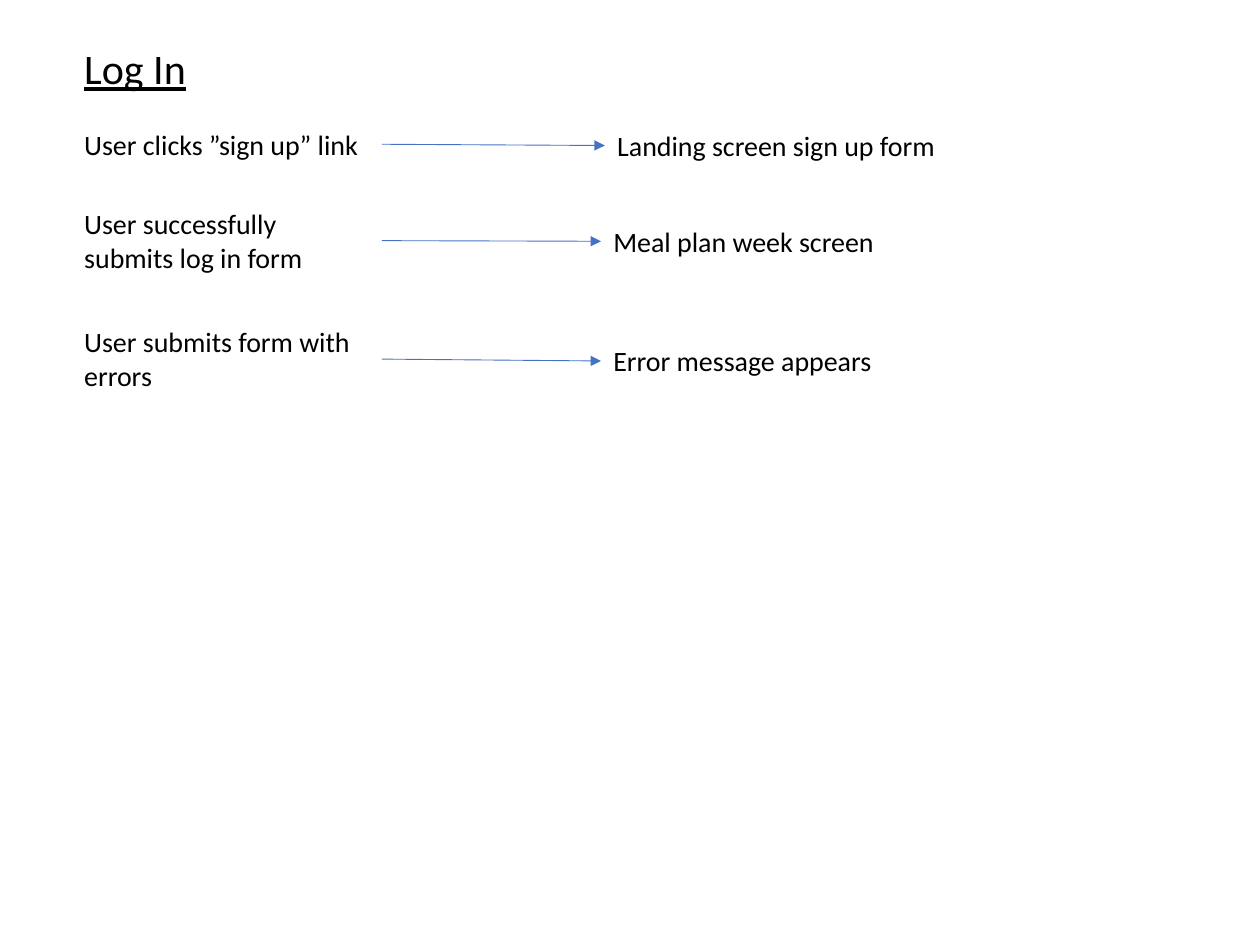
"""Build the log in flow slide: user actions joined to their results."""
from dataclasses import dataclass

from pptx import Presentation
from pptx import util as u
from pptx.dml.color import RGBColor
from pptx.enum import shapes, text
from pptx.oxml.ns import qn
from lxml import etree

COLORS = {"ink": "000000", "arrow": "4472C4"}
FONT = "Calibri"
LEFT, WIDTH = 0.57, 2.46
LINE, TWO_LINES = 0.37, 0.64


@dataclass
class Label:
    words: str
    x: float
    y: float
    w: float = WIDTH
    h: float = LINE
    size: int = 16


@dataclass
class Step:
    action: Label
    result: Label


TITLE = Label("Log In", LEFT, 0.29, 1.02, 0.5, 24)
STEPS = [
    Step(Label("User clicks ”sign up” link", LEFT, 0.96),
         Label("Landing screen sign up form", 4.8, 0.97, 3.19)),
    Step(Label("User successfully submits log in form", LEFT, 1.59, h=TWO_LINES),
         Label("Meal plan week screen", 4.77, 1.73)),
    Step(Label("User submits form with errors", LEFT, 2.53, h=TWO_LINES),
         Label("Error message appears", 4.77, 2.68)),
]


def add_label(slide, label: Label, wrap: bool = True):
    box = slide.shapes.add_textbox(*map(u.Inches, (label.x, label.y, label.w, label.h)))
    frame = box.text_frame
    frame.word_wrap = wrap
    frame.auto_size = text.MSO_AUTO_SIZE.SHAPE_TO_FIT_TEXT
    frame.text = label.words
    font = frame.paragraphs[0].font
    font.name = FONT
    font.size = u.Pt(label.size)
    font.color.rgb = RGBColor.from_string(COLORS["ink"])
    return box


def add_arrow(slide, start, end) -> None:
    arrow = slide.shapes.add_connector(shapes.MSO_CONNECTOR.STRAIGHT, 0, 0, 0, 0)
    arrow.begin_connect(start, 3)
    arrow.end_connect(end, 1)
    arrow.line.width = u.Pt(0.5)
    arrow.line.color.rgb = RGBColor.from_string(COLORS["arrow"])
    etree.SubElement(arrow.line._get_or_add_ln(), qn("a:tailEnd"), type="triangle")
    etree.SubElement(arrow._element.spPr, qn("a:effectLst"))


def main() -> None:
    deck = Presentation()
    deck.slide_width, deck.slide_height = u.Inches(10), u.Inches(7.5)
    slide = deck.slides.add_slide(deck.slide_layouts[6])
    title = add_label(slide, TITLE, wrap=False)
    title.text_frame.paragraphs[0].font.underline = True
    for step in STEPS:
        action = add_label(slide, step.action)
        result = add_label(slide, step.result)
        add_arrow(slide, action, result)
    deck.save("out.pptx")


if __name__ == "__main__":
    main()
